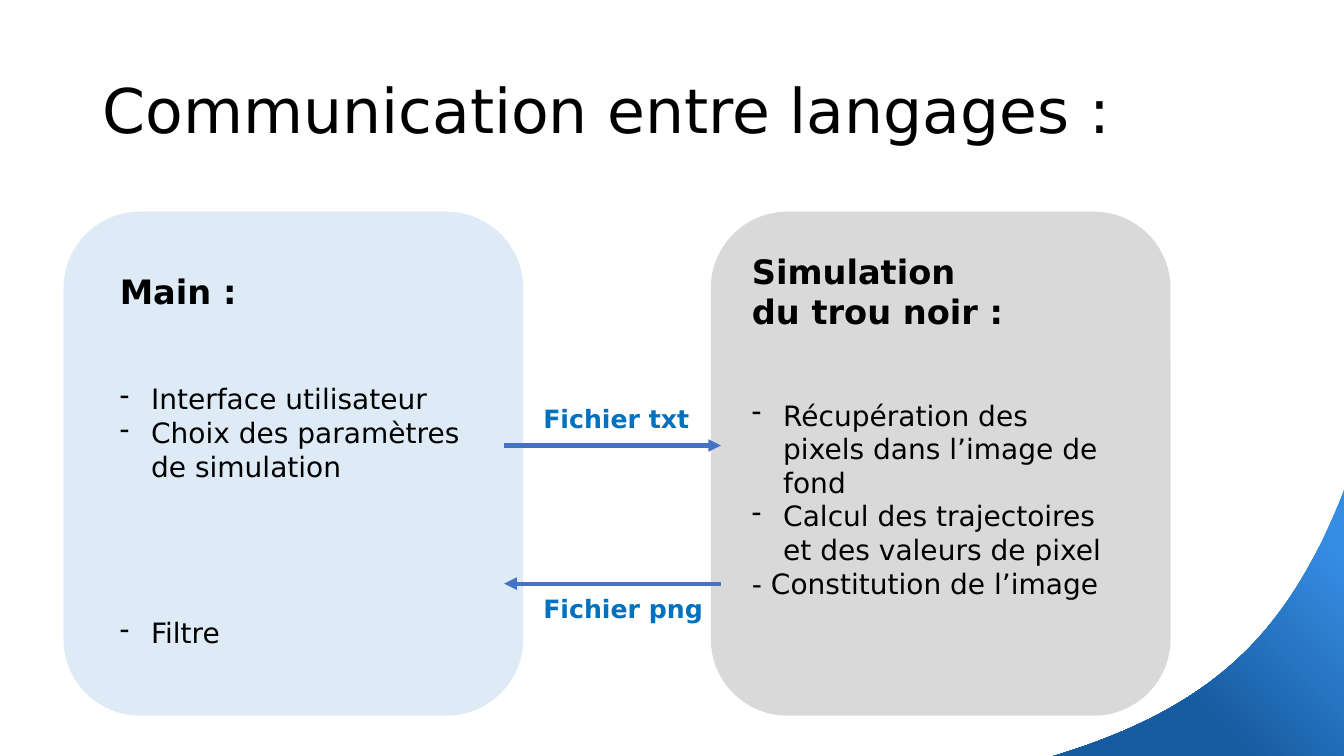
from lxml.etree import SubElement
from pptx import Presentation
from pptx.dml.color import RGBColor
from pptx.enum.shapes import MSO_CONNECTOR, MSO_SHAPE
from pptx.enum.text import MSO_ANCHOR
from pptx.oxml.ns import qn
from pptx.util import Pt

PX = 9144  # 100 px to the inch
FONT = "DejaVu Sans"
BLACK = RGBColor(0x00, 0x00, 0x00)
LABEL_BLUE = RGBColor(0x00, 0x70, 0xC0)
ARROW_BLUE = RGBColor(0x44, 0x72, 0xC4)
MAIN_FILL = RGBColor(0xDE, 0xEB, 0xF7)
SIMULATION_FILL = RGBColor(0xD9, 0xD9, 0xD9)
CORNER_LIGHT = RGBColor(0x36, 0x8C, 0xE2)
CORNER_DARK = RGBColor(0x17, 0x5B, 0xA0)
INDENT = 31

presentation = Presentation()
presentation.slide_width = 1333 * PX
presentation.slide_height = 750 * PX
slide = presentation.slides.add_slide(presentation.slide_layouts[6])
shapes = slide.shapes


def add_text(box, lines, size, color=BLACK, bold=False):
    """Add a text box; lines starting with a tab get a hanging dash bullet."""
    frame = shapes.add_textbox(*(value * PX for value in box)).text_frame
    frame.word_wrap = True
    for number, line in enumerate(lines):
        paragraph = frame.paragraphs[0] if number == 0 else frame.add_paragraph()
        paragraph.text = line.lstrip("\t")
        if line.startswith("\t"):
            properties = paragraph._p.get_or_add_pPr()
            properties.set("marL", str(INDENT * PX))
            properties.set("indent", str(-INDENT * PX))
            SubElement(properties, qn("a:buChar"), char="-")
        paragraph.font.name = FONT
        paragraph.font.size = Pt(size)
        paragraph.font.bold = bold
        paragraph.font.color.rgb = color
    return frame


# Curved corner: a cubic curve sampled from the right edge to the bottom edge
curve = [(1335, 481), (1282, 618), (1215, 701), (1035, 753)]
STEPS = 40
outline = []
for step in range(STEPS + 1):
    t = step / STEPS
    weights = ((1 - t) ** 3, 3 * t * (1 - t) ** 2, 3 * t ** 2 * (1 - t), t ** 3)
    outline.append([round(PX * sum(w * point[axis] for w, point in zip(weights, curve)))
                    for axis in (0, 1)])
builder = shapes.build_freeform(*outline[0])
builder.add_line_segments(outline[1:] + [(1334 * PX, 753 * PX)], close=True)
corner = builder.convert_to_shape()
corner.shadow.inherit = False
corner.line.fill.background()
corner.fill.gradient()
corner.fill.gradient_angle = 225
for stop, position, color in zip(corner.fill.gradient_stops, (0.14, 0.65),
                                 (CORNER_LIGHT, CORNER_DARK)):
    stop.position = position
    stop.color.rgb = color

title = add_text((92, 40, 1150, 145), ["Communication entre langages :"], 44)
title.vertical_anchor = MSO_ANCHOR.MIDDLE
title.paragraphs[0].line_spacing = 0.9

for left, fill in ((63, MAIN_FILL), (705, SIMULATION_FILL)):
    panel = shapes.add_shape(MSO_SHAPE.ROUNDED_RECTANGLE,
                             left * PX, 210 * PX, 456 * PX, 500 * PX)
    panel.shadow.inherit = False
    panel.fill.solid()
    panel.fill.fore_color.rgb = fill
    panel.line.fill.background()

add_text((736, 244, 277, 91), ["Simulation du trou noir :"], 24, bold=True)
add_text((109, 264, 277, 50), ["Main :"], 24, bold=True)
main_tasks = add_text((109, 374, 381, 279), [
    "\tInterface utilisateur",
    "\tChoix des paramètres de simulation",
    "\tFiltre",
], 20)
main_tasks.paragraphs[-1].space_before = Pt(95)
add_text((736, 390, 381, 212), [
    "\tRécupération des pixels dans l’image de fond",
    "\tCalcul des trajectoires et des valeurs de pixel",
    "- Constitution de l’image",
], 20)

exchanges = [
    ("Fichier txt", 500, 715, 442, 395, 173),
    ("Fichier png", 715, 500, 579, 584, 183),
]
for file_label, start, end, arrow_y, label_top, label_width in exchanges:
    arrow = shapes.add_connector(MSO_CONNECTOR.STRAIGHT, start * PX, arrow_y * PX,
                                 end * PX, arrow_y * PX)
    arrow.line.color.rgb = ARROW_BLUE
    arrow.line.width = Pt(3)
    SubElement(arrow.line._get_or_add_ln(), qn("a:tailEnd"), type="triangle")
    SubElement(arrow._element.spPr, qn("a:effectLst"))
    add_text((529, label_top, label_width, 40), [file_label], 18, LABEL_BLUE, bold=True)

presentation.save("out.pptx")
